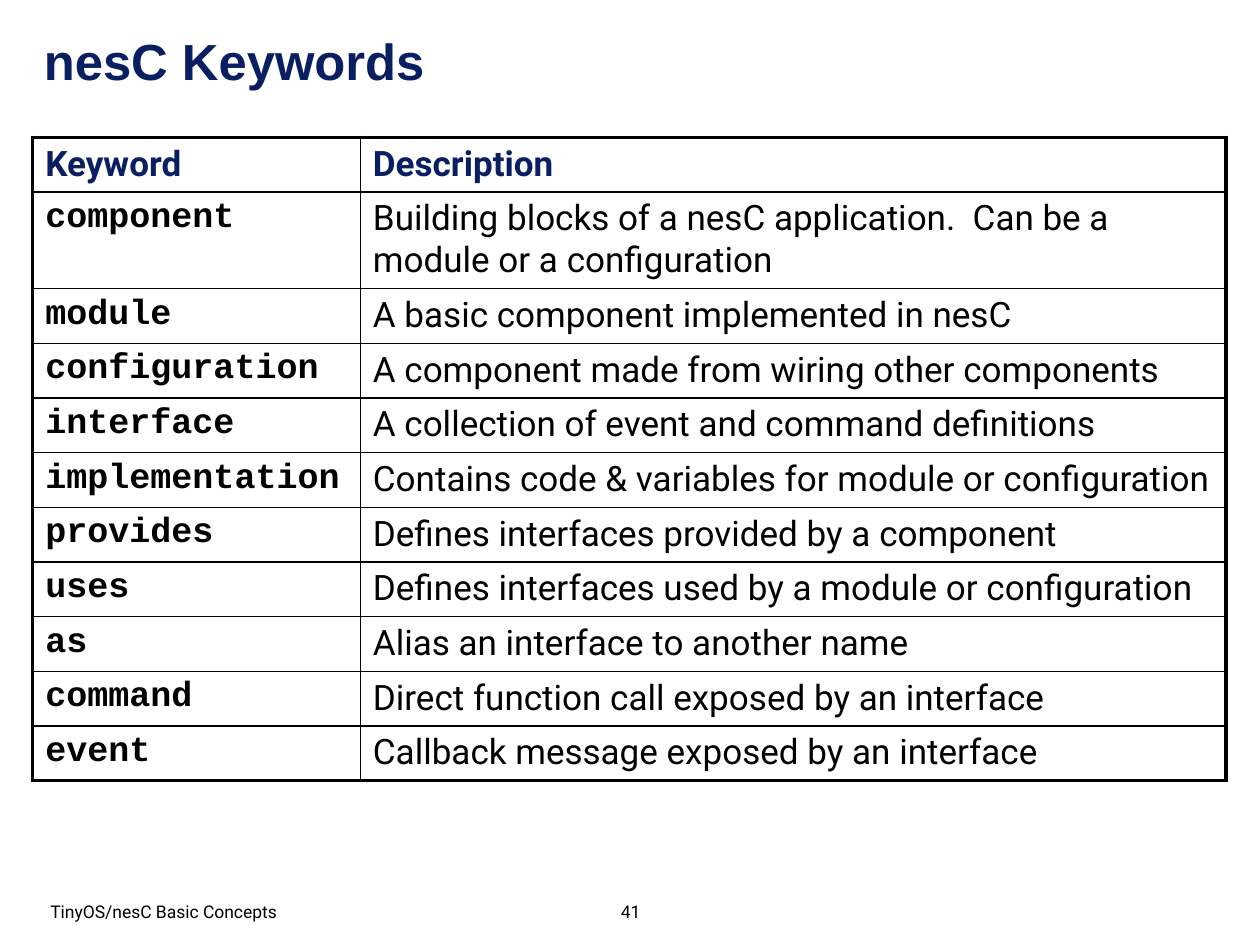
from typing import NamedTuple

from lxml import etree
from pptx import Presentation
from pptx.dml.color import RGBColor
from pptx.enum.text import MSO_ANCHOR, PP_ALIGN
from pptx.oxml.ns import qn
from pptx.util import Inches, Pt

LEFT, CENTER = PP_ALIGN.LEFT, PP_ALIGN.CENTER
MIDDLE, BOTTOM = MSO_ANCHOR.MIDDLE, MSO_ANCHOR.BOTTOM
COLORS = {"heading": "0A1F62", "text": "000000", "border": "000000"}
OUTER_LINE, INNER_LINE = Pt(2.25), Pt(1)
COLUMN_WIDTHS = (2.6, 6.87)
TABLE_HEIGHT, TALL_ROW_HEIGHT = 5.04, 0.76


class Style(NamedTuple):
    font: str
    size: int
    color: str
    bold: bool = False


class Label(NamedTuple):
    text: str
    left: float
    top: float
    width: float
    height: float
    style: Style
    align: PP_ALIGN
    anchor: MSO_ANCHOR
    inset: float = 0.1


class Entry(NamedTuple):
    keyword: str
    description: str


TITLE = Style("Arial", 29, "heading", True)
FOOTER = Style("Roboto", 10, "text")
HEADER = Style("Roboto", 20, "heading", True)
KEYWORD = Style("Courier New", 20, "text", True)
DESCRIPTION = Style("Roboto", 20, "text")

LABELS = (
    Label("nesC Keywords", 0.25, 0.16, 9, 0.63, TITLE, LEFT, MIDDLE),
    Label("TinyOS/nesC Basic Concepts", 0.2, 7.07, 3.67, 0.3, FOOTER, LEFT, BOTTOM, 0.2),
    Label("41", 4.34, 7.07, 1.33, 0.3, FOOTER, CENTER, BOTTOM),
)

ENTRIES = (
    Entry("Keyword", "Description"),
    Entry("component", "Building blocks of a nesC application.  Can be a module or a configuration"),
    Entry("module", "A basic component implemented in nesC"),
    Entry("configuration", "A component made from wiring other components"),
    Entry("interface", "A collection of event and command definitions"),
    Entry("implementation", "Contains code & variables for module or configuration"),
    Entry("provides", "Defines interfaces provided by a component"),
    Entry("uses", "Defines interfaces used by a module or configuration"),
    Entry("as", "Alias an interface to another name"),
    Entry("command", "Direct function call exposed by an interface"),
    Entry("event", "Callback message exposed by an interface"),
)


def write(frame, text: str, style: Style, align: PP_ALIGN = LEFT) -> None:
    para = frame.paragraphs[0]
    para.text = text
    para.alignment = align
    para.font.name = style.font
    para.font.size = Pt(style.size)
    para.font.bold = style.bold
    para.font.color.rgb = RGBColor.from_string(COLORS[style.color])


def add_label(page, label: Label) -> None:
    box = page.shapes.add_textbox(
        Inches(label.left), Inches(label.top), Inches(label.width), Inches(label.height)
    )
    frame = box.text_frame
    frame.word_wrap = True
    frame.vertical_anchor = label.anchor
    frame.margin_left = Inches(label.inset)
    write(frame, label.text, label.style, label.align)


def set_borders(cell, outer_sides: dict[str, bool]) -> None:
    """Draw the four cell borders, thicker on the table's outer edge."""
    properties = cell._tc.get_or_add_tcPr()
    for index, (side, is_outer) in enumerate(outer_sides.items()):
        line = etree.Element(qn(f"a:ln{side}"), w=str(OUTER_LINE if is_outer else INNER_LINE))
        fill = etree.SubElement(line, qn("a:solidFill"))
        etree.SubElement(fill, qn("a:srgbClr"), val=COLORS["border"])
        properties.insert(index, line)


def add_keyword_table(page, entries: tuple[Entry, ...]) -> None:
    last_row, last_column = len(entries) - 1, len(COLUMN_WIDTHS) - 1
    row_height = (TABLE_HEIGHT - TALL_ROW_HEIGHT) / last_row
    table = page.shapes.add_table(
        len(entries), len(COLUMN_WIDTHS),
        Inches(0.26), Inches(1.09), Inches(sum(COLUMN_WIDTHS)), Inches(TABLE_HEIGHT),
    ).table
    table.first_row = table.horz_banding = False
    for column, width in zip(table.columns, COLUMN_WIDTHS):
        column.width = Inches(width)

    for row_index, entry in enumerate(entries):
        # Only the component row wraps to two lines
        is_tall = entry.keyword == "component"
        table.rows[row_index].height = Inches(TALL_ROW_HEIGHT if is_tall else row_height)
        styles = (HEADER, HEADER) if row_index == 0 else (KEYWORD, DESCRIPTION)
        for column_index, (text, style) in enumerate(zip(entry, styles)):
            cell = table.cell(row_index, column_index)
            cell.fill.background()
            write(cell.text_frame, text, style)
            set_borders(cell, {
                "L": column_index == 0,
                "R": column_index == last_column,
                "T": row_index == 0,
                "B": row_index == last_row,
            })


def main() -> None:
    deck = Presentation()
    deck.slide_width, deck.slide_height = Inches(10), Inches(7.5)
    page = deck.slides.add_slide(deck.slide_layouts[6])

    # Title and footer
    for label in LABELS:
        add_label(page, label)

    # Keyword table
    add_keyword_table(page, ENTRIES)
    deck.save("out.pptx")


if __name__ == "__main__":
    main()
